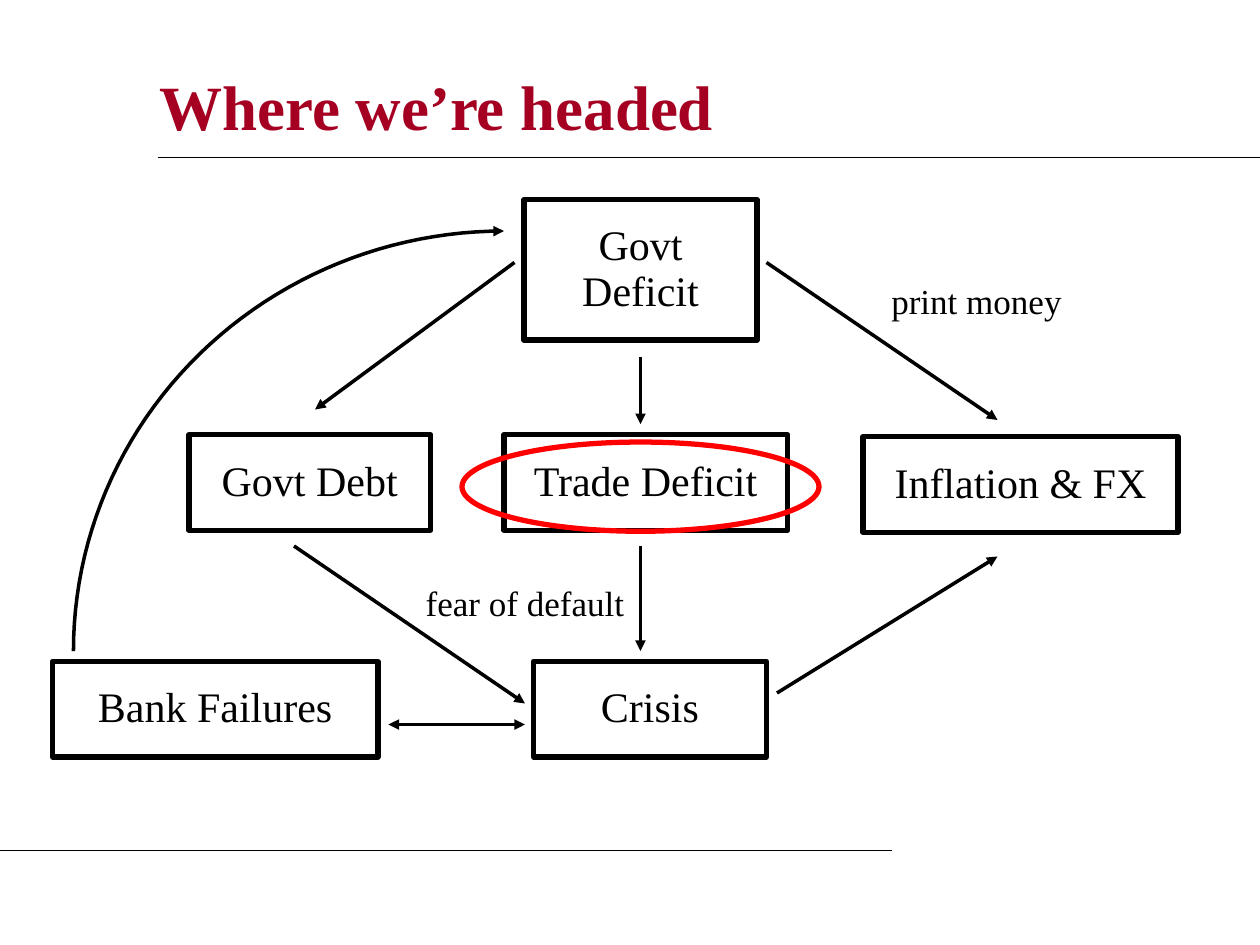
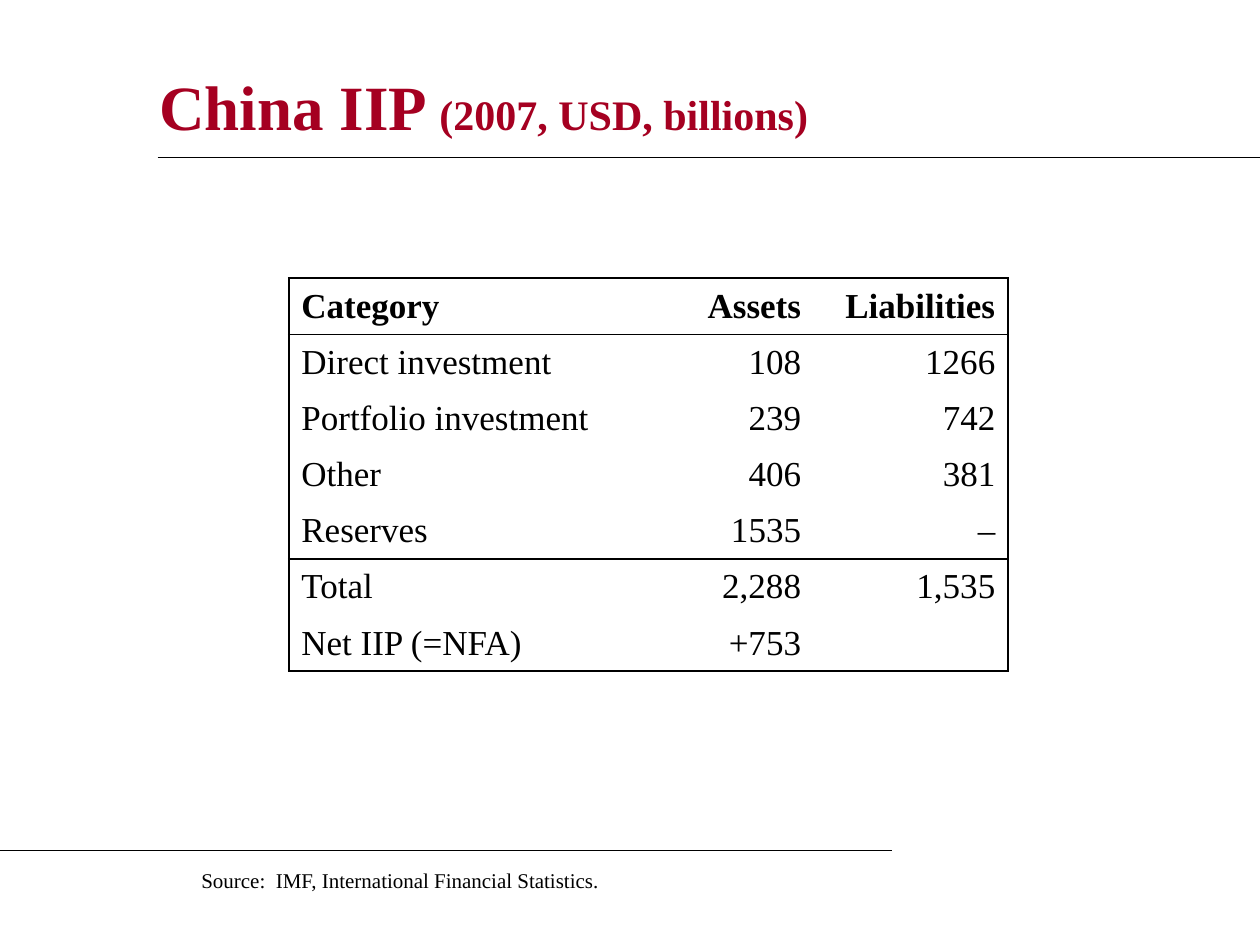
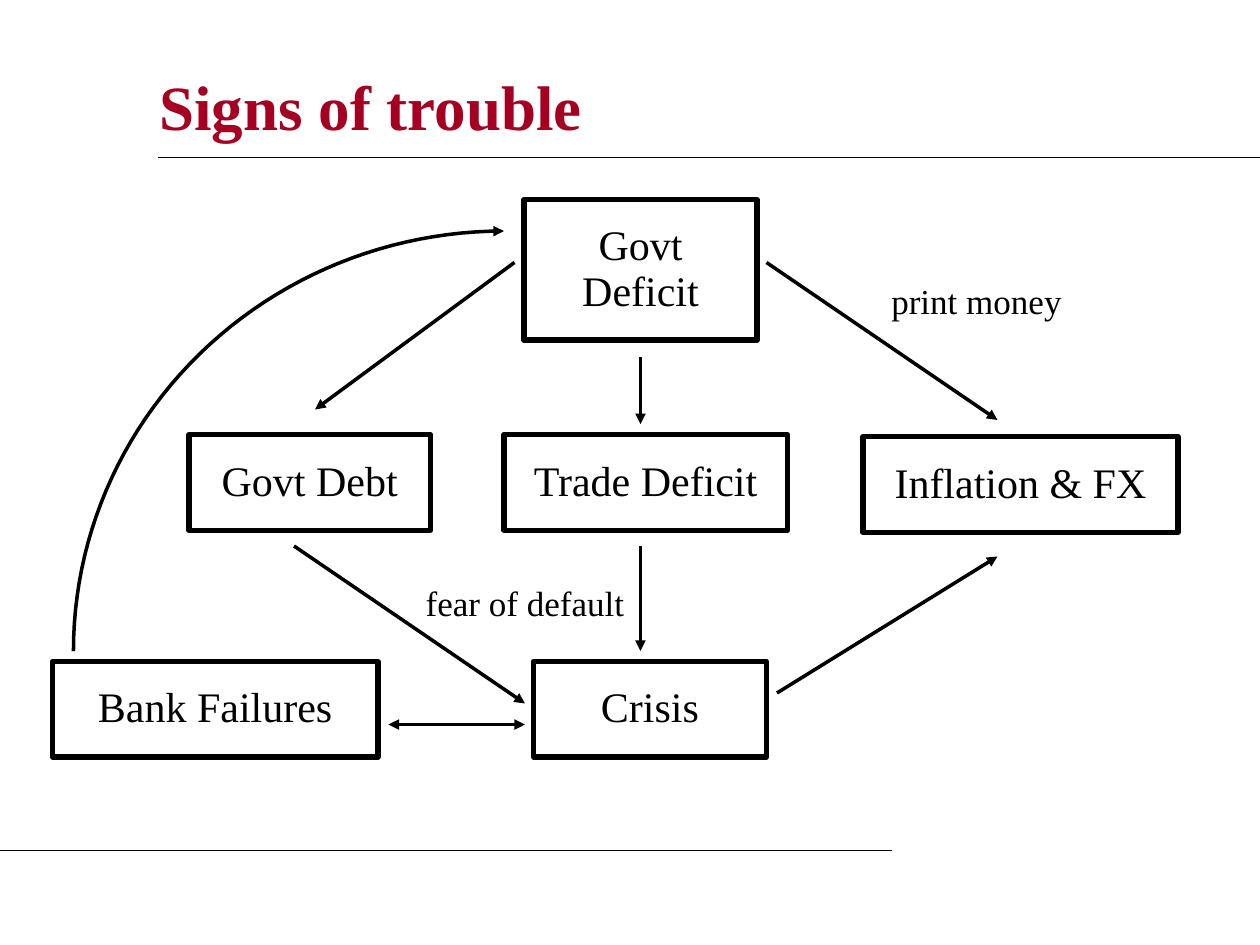
from dataclasses import dataclass
from math import cos, pi, sin

from lxml import etree
from pptx import Presentation
from pptx.dml.color import RGBColor
from pptx.enum.shapes import MSO_CONNECTOR, MSO_SHAPE
from pptx.enum.text import MSO_ANCHOR, PP_ALIGN
from pptx.oxml.ns import qn
from pptx.util import Inches, Pt

STRAIGHT = MSO_CONNECTOR.STRAIGHT
RECTANGLE, OVAL = MSO_SHAPE.RECTANGLE, MSO_SHAPE.OVAL
LEFT, CENTER, RIGHT = PP_ALIGN.LEFT, PP_ALIGN.CENTER, PP_ALIGN.RIGHT
TOP, MIDDLE = MSO_ANCHOR.TOP, MSO_ANCHOR.MIDDLE


@dataclass(frozen=True)
class Theme:
    """Colours, type sizes in points and line widths in points."""
    font: str = "Times New Roman"
    ink: str = "000000"
    accent: str = "A50021"
    highlight: str = "FF0000"
    title: int = 36
    node: int = 24
    body: int = 20
    source: int = 12
    rule: float = 0.75
    border: float = 1.08
    arrow: float = 2
    outline: float = 3


@dataclass(frozen=True)
class Box:
    """A region in grid units, twelve to the inch."""
    left: float
    top: float
    width: float
    height: float

    def inner(self, left, top, width, height):
        """Return a box placed relative to this one."""
        return Box(self.left + left, self.top + top, width, height)

    def point(self, column, row):
        """Return the slide position of a point inside this box."""
        return unit(self.left + column), unit(self.top + row)

    def frame(self):
        """Return left, top, width and height as lengths."""
        return tuple(unit(side) for side in (self.left, self.top, self.width, self.height))


THEME = Theme()
UNITS_PER_INCH = 12
PAGE = Box(0, 0, 120, 90)
TITLE = Box(14, 5, 97, 10)
DIAGRAM = Box(5, 19, 107, 53)
TABLE = Box(27.5, 26.5, 68.5, 37.45)
SOURCE = Box(18, 82, 43, 3.6)

NODE_HEIGHT = 9.1
NODES = [
    ("Govt Deficit", 44.9, 0, 22.2, 13.4),
    ("Govt Debt", 13, 22.4, 23, NODE_HEIGHT),
    ("Trade Deficit", 43, 22.4, 27, NODE_HEIGHT),
    ("Inflation & FX", 77.2, 22.6, 30, NODE_HEIGHT),
    ("Bank Failures", 0, 44, 31, NODE_HEIGHT),
    ("Crisis", 45.8, 44, 22.2, NODE_HEIGHT),
]
ARROWS = [
    ((44, 6), (25, 20)),
    ((56, 15), (56, 21.4)),
    ((68, 6), (90, 21)),
    ((23, 33), (45, 48)),
    ((56, 33), (56, 43)),
    ((69, 47), (90, 34)),
]
LABELS = [("print money", 75, 7), ("fear of default", 32, 35.8)]

COLUMN_WIDTHS = [37, 13, 18.5]
IIP_ROWS = [
    ("Category", "Assets", "Liabilities"),
    ("Direct investment", "108", "1266"),
    ("Portfolio investment", "239", "742"),
    ("Other", "406", "381"),
    ("Reserves", "1535", "–"),
    ("Total", "2,288", "1,535"),
    ("Net IIP (=NFA)", "+753", ""),
]
RULED_BELOW = {0, 4, 6}


def unit(count):
    """Turn grid units into a length."""
    return Inches(count / UNITS_PER_INCH)


def style_font(font, size, color=THEME.ink, bold=False):
    """Apply the deck's typeface with a size, colour and weight."""
    font.name, font.size, font.bold = THEME.font, Pt(size), bold
    font.color.rgb = RGBColor.from_string(color)


def style_line(line, width, color=THEME.ink):
    """Give a line its colour and width."""
    line.color.rgb = RGBColor.from_string(color)
    line.width = Pt(width)


def outline_only(shape, width, color=THEME.ink):
    """Leave a shape unfilled, with a plain outline."""
    shape.shadow.inherit = False
    shape.fill.background()
    style_line(shape.line, width, color)


def add_heads(shape, *ends):
    """Put triangles on the named line ends."""
    line = shape.line._get_or_add_ln()
    for end in ends:
        etree.SubElement(line, qn(f"a:{end}"), type="triangle")


def add_line(page, start, end, width):
    """Draw a straight line between two positions."""
    connector = page.shapes.add_connector(STRAIGHT, *start, *end)
    style_line(connector.line, width)
    etree.SubElement(connector._element.spPr, qn("a:effectLst"))
    return connector


def add_text(page, box, text, size, align=LEFT):
    """Add a wrapped text box with one paragraph."""
    frame = page.shapes.add_textbox(*box.frame()).text_frame
    frame.word_wrap = True
    frame.text = text
    para = frame.paragraphs[0]
    para.alignment = align
    style_font(para.runs[0].font, size)
    return frame


def add_page(deck, title, detail=""):
    """Add a blank page with the shared title and rules."""
    page = deck.slides.add_slide(deck.slide_layouts[6])
    frame = add_text(page, TITLE, title, THEME.title)
    frame.vertical_anchor = MIDDLE
    para = frame.paragraphs[0]
    style_font(para.runs[0].font, THEME.title, THEME.accent, True)
    if detail:
        span = para.add_run()
        span.text = detail
        style_font(span.font, THEME.node, THEME.accent, True)
    for start, end, row in ((15, PAGE.width, 15), (0, 85, 81)):
        add_line(page, PAGE.point(start, row), PAGE.point(end, row), THEME.rule)
    return page


def add_node(page, box, text):
    """Draw an outlined box with centred text."""
    shape = page.shapes.add_shape(RECTANGLE, *box.frame())
    outline_only(shape, THEME.outline)
    frame = shape.text_frame
    frame.word_wrap = True
    frame.vertical_anchor = TOP
    frame.margin_left = frame.margin_right = Inches(0.2)
    frame.margin_top = frame.margin_bottom = Inches(0.2)
    frame.text = text
    para = frame.paragraphs[0]
    para.alignment, para.line_spacing = CENTER, 0.9
    style_font(para.runs[0].font, THEME.node)


def add_feedback_arc(page, box, steps=48):
    """Draw a quarter ellipse from bottom left to top right of the box."""
    angles = [pi / 2 * step / steps for step in range(steps + 1)]
    points = [box.point(box.width * (1 - cos(angle)), box.height * (1 - sin(angle)))
              for angle in angles]
    builder = page.shapes.build_freeform(*points[0])
    builder.add_line_segments(points[1:], close=False)
    arc = builder.convert_to_shape()
    outline_only(arc, THEME.arrow)
    add_heads(arc, "tailEnd")


def add_crisis_diagram(page, box):
    """Draw the crisis flow: nodes, arrows, labels and feedback arc."""
    for text, *place in NODES:
        add_node(page, box.inner(*place), text)
    for start, end in ARROWS:
        add_heads(add_line(page, box.point(*start), box.point(*end), THEME.arrow), "tailEnd")
    both_ways = add_line(page, box.point(32, 50), box.point(45, 50), THEME.arrow)
    add_heads(both_ways, "headEnd", "tailEnd")
    for text, column, row in LABELS:
        add_text(page, box.inner(column, row, 26, 5.3), text, THEME.body, CENTER)
    add_feedback_arc(page, box.inner(2, 3, 41, 40))


def add_highlight(page, box):
    """Ring a region with an ellipse."""
    outline_only(page.shapes.add_shape(OVAL, *box.frame()), THEME.outline, THEME.highlight)


def set_borders(cell, ruled):
    """Draw the ruled sides of a cell and clear the others."""
    properties = cell._tc.get_or_add_tcPr()
    for index, side in enumerate("LRTB"):
        line = etree.Element(qn(f"a:ln{side}"), w=str(Pt(THEME.border)))
        if side in ruled:
            fill = etree.SubElement(line, qn("a:solidFill"))
            etree.SubElement(fill, qn("a:srgbClr"), val=THEME.ink)
        else:
            etree.SubElement(line, qn("a:noFill"))
        properties.insert(index, line)


def ruled_sides(row, column):
    """Name the sides of a table cell that carry a line."""
    tests = {
        "L": column == 0,
        "R": column == len(COLUMN_WIDTHS) - 1,
        "T": row == 0 or row - 1 in RULED_BELOW,
        "B": row in RULED_BELOW,
    }
    return {side for side, ruled in tests.items() if ruled}


def add_iip_table(page, box):
    """Fill the investment position table."""
    table = page.shapes.add_table(len(IIP_ROWS), len(COLUMN_WIDTHS), *box.frame()).table
    table.first_row = table.horz_banding = False
    for column, width in zip(table.columns, COLUMN_WIDTHS):
        column.width = unit(width)
    for row, values in enumerate(IIP_ROWS):
        table.rows[row].height = unit(box.height / len(IIP_ROWS))
        for column, value in enumerate(values):
            cell = table.cell(row, column)
            cell.fill.background()
            cell.vertical_anchor = MIDDLE
            cell.text = value
            para = cell.text_frame.paragraphs[0]
            para.alignment = RIGHT if column else LEFT
            style_font(para.font, THEME.body, bold=row == 0)
            for span in para.runs:
                style_font(span.font, THEME.body, bold=row == 0)
            set_borders(cell, ruled_sides(row, column))


def main():
    """Build and save the deck."""
    deck = Presentation()
    deck.slide_width, deck.slide_height = unit(PAGE.width), unit(PAGE.height)

    page = add_page(deck, "Where we’re headed")
    add_crisis_diagram(page, DIAGRAM)
    add_highlight(page, DIAGRAM.inner(39, 23.1, 34, 8.5))

    page = add_page(deck, "China IIP ", "(2007, USD, billions)")
    add_iip_table(page, TABLE)
    add_text(page, SOURCE, "Source:  IMF, International Financial Statistics.", THEME.source)

    page = add_page(deck, "Signs of trouble")
    add_crisis_diagram(page, DIAGRAM)

    deck.save("out.pptx")


if __name__ == "__main__":
    main()
